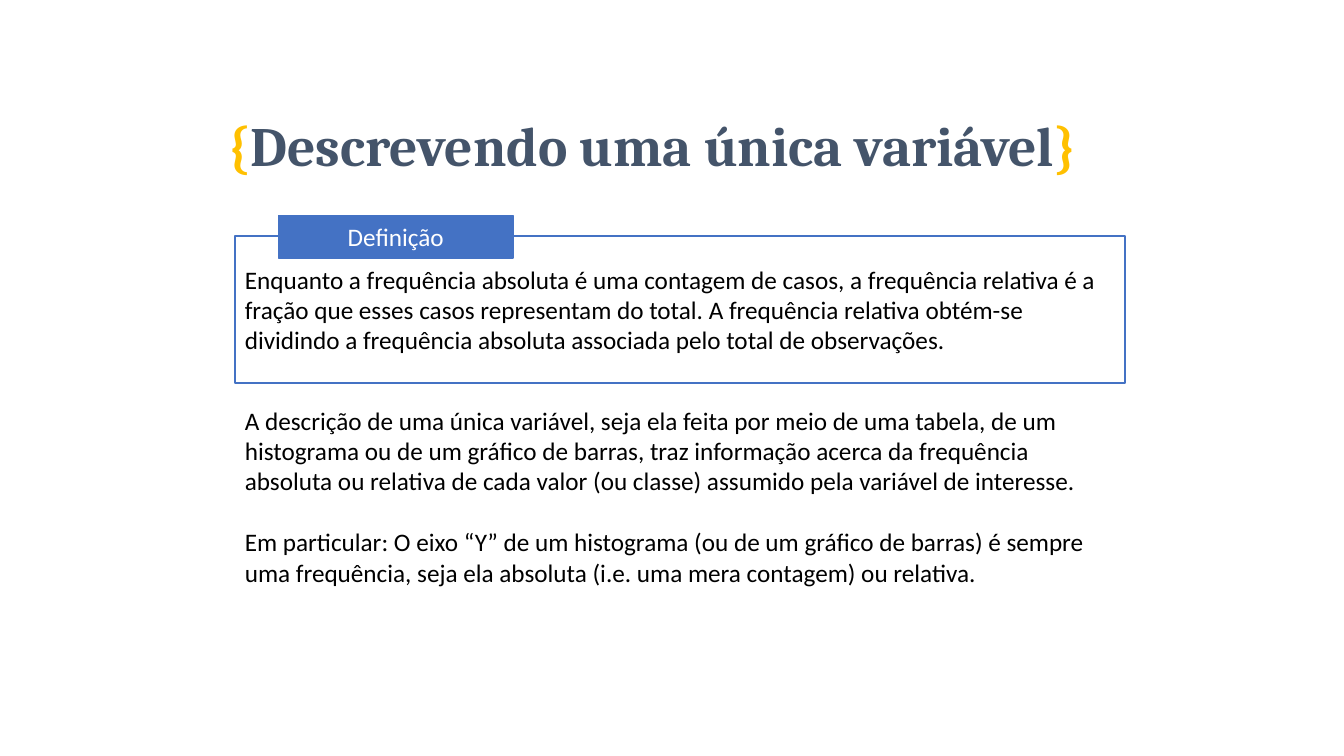
from dataclasses import dataclass
from typing import Optional

import pptx
import pptx.dml.color
import pptx.enum.shapes
import pptx.enum.text
import pptx.util

Inches = pptx.util.Inches
Pt = pptx.util.Pt
Align = pptx.enum.text.PP_ALIGN
Anchor = pptx.enum.text.MSO_ANCHOR

COLORS = {
    "blue": "4472C4",
    "slate": "44546A",
    "gold": "FFC000",
    "black": "000000",
    "white": "FFFFFF",
}
LEFT, WIDTH = 2.33, 8.83


@dataclass
class Span:
    text: str
    color: str = "black"
    font: str = "Calibri"
    size: float = 18
    bold: bool = False


@dataclass
class Panel:
    left: float
    top: float
    width: float
    height: float
    span: Span
    align: Align = Align.LEFT
    fill: Optional[str] = None


TITLE = [
    Span(text, color, "Cambria", 39.6, True)
    for text, color in (
        ("{", "gold"),
        ("Descrevendo uma única variável", "slate"),
        ("}", "gold"),
    )
]

PANELS = [
    Panel(LEFT, 2.34, WIDTH, 1.46, Span(
        "Enquanto a frequência absoluta é uma contagem de casos, a frequência "
        "relativa é a fração que esses casos representam do total. A frequência "
        "relativa obtém-se dividindo a frequência absoluta associada pelo total "
        "de observações.")),
    Panel(2.76, 2.14, 2.33, 0.42, Span("Definição", "white"), Align.CENTER, "blue"),
]

BODY = [
    Span("A descrição de uma única variável, seja ela feita por meio de uma tabela, "
         "de um histograma ou de um gráfico de barras, traz informação acerca da "
         "frequência absoluta ou relativa de cada valor (ou classe) assumido pela "
         "variável de interesse."),
    Span("Em particular: O eixo “Y” de um histograma (ou de um gráfico de barras) é "
         "sempre uma frequência, seja ela absoluta (i.e. uma mera contagem) ou "
         "relativa."),
]


def rgb(name: str) -> pptx.dml.color.RGBColor:
    return pptx.dml.color.RGBColor.from_string(COLORS[name])


def add_span(para, span: Span) -> None:
    run = para.add_run()
    run.text = span.text
    run.font.name = span.font
    run.font.size = Pt(span.size)
    run.font.bold = span.bold
    run.font.color.rgb = rgb(span.color)


def prepare_frame(frame, anchor: Anchor) -> None:
    frame.word_wrap = True
    frame.auto_size = pptx.enum.text.MSO_AUTO_SIZE.NONE
    frame.vertical_anchor = anchor


def fill_title(title) -> None:
    title.left, title.top = Inches(2.17), Inches(0.85)
    title.width, title.height = Inches(9), Inches(1.25)
    prepare_frame(title.text_frame, Anchor.MIDDLE)
    para = title.text_frame.paragraphs[0]
    para.alignment = Align.LEFT
    para.line_spacing = 0.9
    for span in TITLE:
        add_span(para, span)


def add_panel(page, panel: Panel) -> None:
    box = page.shapes.add_shape(
        pptx.enum.shapes.MSO_SHAPE.RECTANGLE,
        Inches(panel.left), Inches(panel.top),
        Inches(panel.width), Inches(panel.height))
    box.shadow.inherit = False
    if panel.fill:
        box.fill.solid()
        box.fill.fore_color.rgb = rgb(panel.fill)
    else:
        box.fill.background()
    box.line.color.rgb = rgb("blue")
    box.line.width = Pt(1)
    prepare_frame(box.text_frame, Anchor.MIDDLE)
    para = box.text_frame.paragraphs[0]
    para.alignment = panel.align
    add_span(para, panel.span)


def add_body(page) -> None:
    box = page.shapes.add_textbox(
        Inches(LEFT), Inches(3.97), Inches(WIDTH), Inches(2.22))
    frame = box.text_frame
    prepare_frame(frame, Anchor.TOP)
    for index, span in enumerate(BODY):
        para = frame.add_paragraph() if index else frame.paragraphs[0]
        para.space_before = Pt(22 if index else 0)
        add_span(para, span)


def main() -> None:
    deck = pptx.Presentation()
    deck.slide_width, deck.slide_height = Inches(13.33), Inches(7.5)
    page = deck.slides.add_slide(deck.slide_layouts.get_by_name("Title Only"))

    # Title between golden braces
    fill_title(page.shapes.title)
    # Definition frame, then its label on the top edge
    for panel in PANELS:
        add_panel(page, panel)
    # Explanation below
    add_body(page)

    deck.save("out.pptx")


if __name__ == "__main__":
    main()
